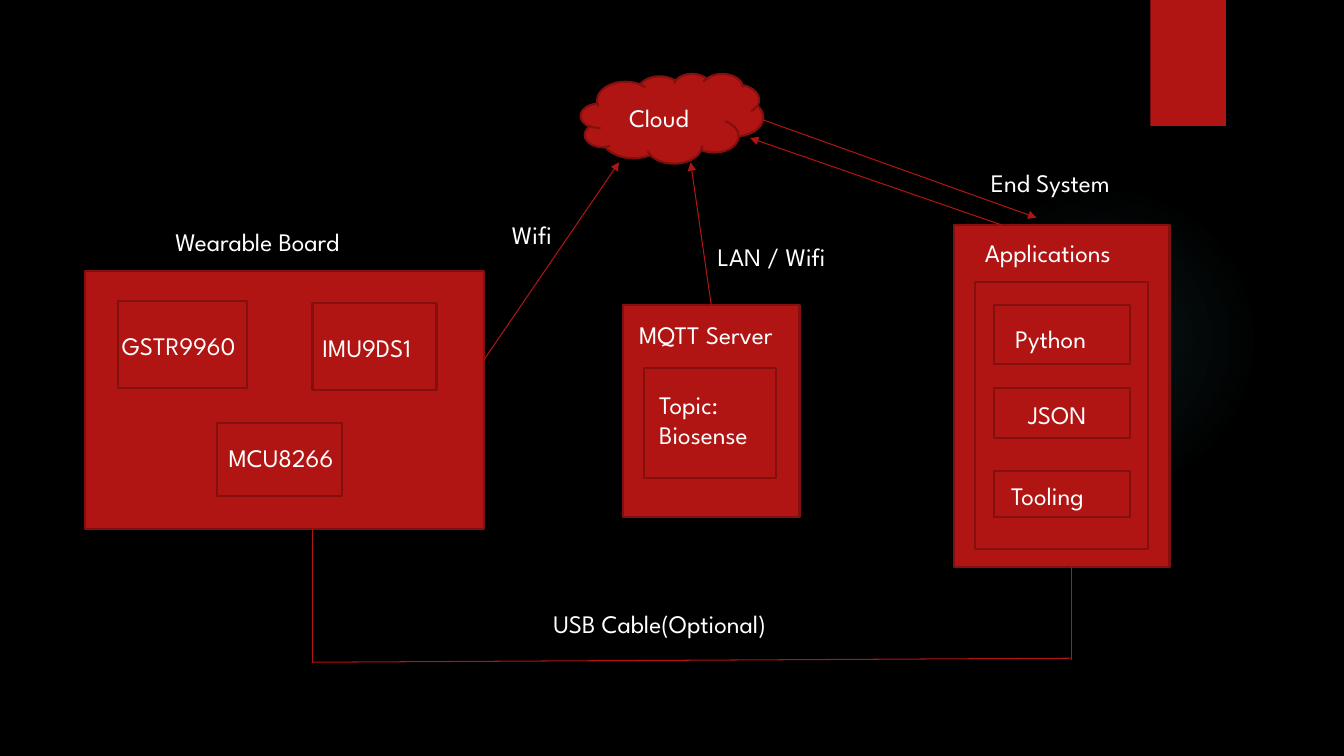
from pptx import Presentation
from pptx.dml.color import RGBColor
from pptx.enum.shapes import MSO_CONNECTOR, MSO_SHAPE
from pptx.enum.text import MSO_AUTO_SIZE
from pptx.oxml import parse_xml
from pptx.oxml.ns import nsdecls
from pptx.util import Inches, Pt
from lxml import etree

RECT, CLOUD, OVAL = MSO_SHAPE.RECTANGLE, MSO_SHAPE.CLOUD, MSO_SHAPE.OVAL
STRAIGHT = MSO_CONNECTOR.STRAIGHT
FIT = MSO_AUTO_SIZE.SHAPE_TO_FIT_TEXT
COLORS = {"back": "000000", "red": "B01513", "edge": "82100E", "text": "FFFFFF", "glow": "50B9C1"}
RGB = {name: RGBColor.from_string(value) for name, value in COLORS.items()}
FONT = "League Spartan"

prs = Presentation()
prs.slide_width, prs.slide_height = Inches(13.33), Inches(7.5)
col, row = prs.slide_width / 133.3, prs.slide_height / 75
s = prs.slides.add_slide(prs.slide_layouts[6])
s.background.fill.solid()
s.background.fill.fore_color.rgb = RGB["back"]


def add_box(x, y, w, h, kind=RECT, edge=True):
    sp = s.shapes.add_shape(kind, int(x * col), int(y * row), int(w * col), int(h * row))
    sp.shadow.inherit = False
    sp.fill.solid()
    sp.fill.fore_color.rgb = RGB["red"]
    if edge:
        sp.line.color.rgb = RGB["edge"]
        sp.line.width = Pt(1.5)
    else:
        sp.line.fill.background()
    return sp


def add_text(text, x, y, w, h=4, size=18, font=FONT, color="text"):
    tf = s.shapes.add_textbox(int(x * col), int(y * row), int(w * col), int(h * row)).text_frame
    tf.word_wrap = True
    tf.auto_size = FIT
    tf.text = text
    for p in tf.paragraphs:
        for r in p.runs:
            r.font.size = Pt(size)
            r.font.name = font
            r.font.color.rgb = RGB[color]


glow = add_box(94.1, 18.3, 30.8, 30.8, kind=OVAL, edge=False)
stops = "".join(
    f'<a:gs pos="{pos}000"><a:srgbClr val="{COLORS["glow"]}"><a:alpha val="{alpha}000"/></a:srgbClr></a:gs>'
    for pos, alpha in [(0, 7), (36, 6), (69, 0)])
solid = glow._element.spPr.find("{*}solidFill")
solid.getparent().replace(solid, parse_xml(
    f'<a:gradFill {nsdecls("a")}><a:gsLst>{stops}</a:gsLst><a:path path="circle">'
    '<a:fillToRect l="50000" t="50000" r="50000" b="50000"/></a:path></a:gradFill>'))

add_box(114.1, 0, 7.5, 12.5, edge=False)

for place in [(8.4, 26.9, 39.6, 25.6), (11.7, 29.9, 12.8, 8.6), (31, 30.1, 12.3, 8.6),
              (21.5, 42, 12.4, 7.2), (94.6, 22.3, 21.4, 34), (96.7, 28, 17.2, 26.5)]:
    add_box(*place)
for i, height in enumerate([5.8, 5, 4.6]):
    add_box(98.6, 30.3 + i * 8.2, 13.5, height)
add_box(57.6, 7.3, 18.1, 8.9, kind=CLOUD)
server = add_box(61.8, 30.3, 17.5, 21)
add_box(63.9, 36.5, 13.1, 10.9)

for text, x, y, w in [
    ("GSTR9960", 11.1, 32.3, 15.1),
    ("IMU9DS1", 31, 32.5, 13.2),
    ("MCU8266", 21.7, 43.4, 12.4),
    ("Wearable Board", 16.4, 22, 23.7),
    ("End System", 97.3, 16.1, 21.4),
    ("Applications", 96.7, 23.1, 18.1),
    ("Cloud", 61.4, 9.7, 19.9),
    ("USB Cable(Optional)", 53.9, 59.9, 30.3),
    ("Python", 99.7, 31.6, 10.6),
    ("JSON", 101, 39.1, 10.6),
    ("Tooling", 99.3, 47.2, 12.1),
    ("Wifi", 49.8, 21.3, 9.6),
    ("LAN / Wifi", 70.2, 23.4, 14.9),
    ("MQTT Server", 62.4, 31.2, 17.5),
]:
    add_text(text, x, y, w)
add_text("Topic:\nBiosense", 64.4, 38.1, 12.7, h=7.1)

for x1, y1, x2, y2, arrow, start in [
    (48, 35.7, 61.4, 16.1, True, None),
    (70.6, 30.3, 68.5, 16.1, True, server),
    (99.3, 22.3, 74.4, 13.7, True, None),
    (75.7, 11.9, 102.8, 21.6, True, None),
    (31, 52.5, 31, 65.8, False, None),
    (31, 65.7, 106.3, 65.3, False, None),
    (106.3, 65.5, 106.3, 56.3, False, None),
]:
    link = s.shapes.add_connector(STRAIGHT, int(x1 * col), int(y1 * row), int(x2 * col), int(y2 * row))
    if start:
        link.begin_connect(start, 0)
    link.line.color.rgb = RGB["red"]
    link.line.width = Pt(0.75)
    ln = link.line._get_or_add_ln()
    ns = ln.nsmap["a"]
    if arrow:
        etree.SubElement(ln, f"{{{ns}}}tailEnd", type="triangle")
    etree.SubElement(link._element.spPr, f"{{{ns}}}effectLst")

prs.save("out.pptx")
